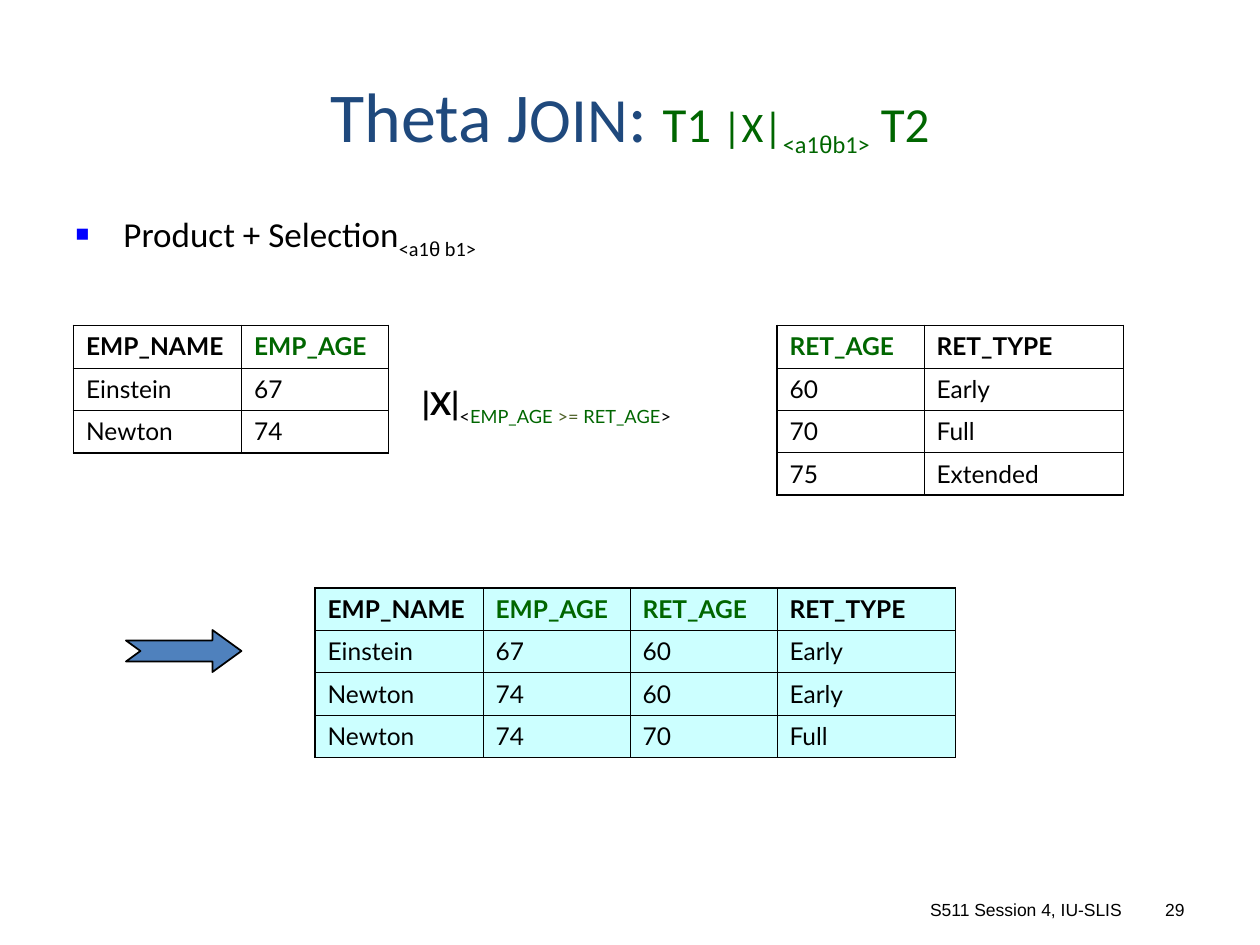
from lxml.etree import SubElement as Sub, Element as Elem
from pptx import Presentation
from pptx.dml.color import RGBColor as Rgb
from pptx.enum.shapes import MSO_SHAPE as Shape
from pptx.enum.text import MSO_ANCHOR as Anchor, MSO_AUTO_SIZE as Fit, PP_ALIGN as Align
from pptx.oxml.ns import qn
from pptx.util import Inches, Pt

HUE = {"ink": "000000", "navy": "1F497D", "green": "006600", "olive": "4F6228",
       "mark": "0000FF", "aqua": "CCFFFF", "blue": "4F81BD"}
UNIT = Inches(1) / 12
ROW = 4.04


def span(*cells):
    return [round(n * UNIT) for n in cells]


def put(item, form):
    for key, val in form.items():
        setattr(item, key, val)


def write(para, runs, name, size, hue="ink", bold=False):
    for text, own in runs:
        look = {"name": name, "size": size, "hue": hue, "bold": bold, "base": 0, **own}
        tint, base = look.pop("hue"), look.pop("base")
        run = para.add_run()
        run.text = text
        put(run.font, {**look, "size": Pt(look["size"])})
        run.font.color.rgb = Rgb.from_string(HUE[tint])
        if base:
            run._r.get_or_add_rPr().set("baseline", str(base * 1000))


def place(item, box):
    put(item, dict(zip(("left", "top", "width", "height"), span(*box))))


def title(slide, box):
    head = slide.shapes.title
    place(head, box)
    put(head.text_frame, {"vertical_anchor": Anchor.MIDDLE, "auto_size": Fit.NONE})
    para = head.text_frame.paragraphs[0]
    para.alignment = Align.CENTER
    sub = {"size": 24, "hue": "green", "base": -25}
    part = {"size": 28, "hue": "green"}
    write(para, [("Theta J", {}), ("OIN", {"size": 36}), (": ", {}), ("T1 ", part),
                 ("|X|", {**sub, "base": 0}), ("<a1", sub), ("θ", {**sub, "name": "Arial"}),
                 ("b1>", sub), (" T2", part)], "Calibri", 40, "navy")


def body(slide, box):
    hold = slide.placeholders[1]
    place(hold, box)
    hold.text_frame.auto_size = Fit.NONE
    para = hold.text_frame.paragraphs[0]
    put(para, {"space_before": Pt(0), "alignment": Align.LEFT})
    prop = para._p.get_or_add_pPr()
    dent = Inches(0.38)
    prop.set("marL", str(dent))
    prop.set("indent", str(-dent))
    Sub(Sub(prop, qn("a:buClr")), qn("a:srgbClr"), val=HUE["mark"])
    Sub(prop, qn("a:buSzPct"), val="65000")
    Sub(prop, qn("a:buFont"), typeface="Arial")
    Sub(prop, qn("a:buChar"), char="■")
    sub = {"base": -25}
    write(para, [("Product + Selection", {}), ("<a1", sub), ("θ", {**sub, "name": "Arial"}),
                 (" b1>", sub), (" ", {"size": 24})], "Calibri", 20)


def label(slide, box, runs, form, align, **look):
    frame = slide.shapes.add_textbox(*span(*box)).text_frame
    put(frame, {"word_wrap": True, **form})
    para = frame.paragraphs[0]
    para.alignment = align
    write(para, runs, **look)


def edge(cell, outer):
    prop = cell._tc.get_or_add_tcPr()
    for spot, side in enumerate("LRTB"):
        line = Elem(qn("a:ln" + side), w=str(Pt(1.08 if side in outer else 0.45)))
        Sub(Sub(line, qn("a:solidFill")), qn("a:srgbClr"), val=HUE["ink"])
        prop.insert(spot, line)


def grid(slide, left, top, cols, rows, fill=None):
    high, wide = len(rows), len(cols)
    box = span(left, top, sum(cols), ROW * high)
    table = slide.shapes.add_table(high, wide, *box).table
    put(table, {"first_row": False, "horz_banding": False})
    for col, size in zip(table.columns, span(*cols)):
        col.width = size
    for r, row in enumerate(rows):
        table.rows[r].height = round(ROW * UNIT)
        for c, text in enumerate(row):
            cell = table.cell(r, c)
            if fill:
                cell.fill.solid()
                cell.fill.fore_color.rgb = Rgb.from_string(HUE[fill])
            else:
                cell.fill.background()
            outer = {"L": c == 0, "R": c == wide - 1, "T": r == 0, "B": r == high - 1}
            edge(cell, [side for side in outer if outer[side]])
            hue = "green" if text.endswith("_AGE") else "ink"
            write(cell.text_frame.paragraphs[0], [(text, {})], "Lato", 14, hue, r == 0)


def arrow(slide, box):
    item = slide.shapes.add_shape(Shape.NOTCHED_RIGHT_ARROW, *span(*box))
    item.adjustments[1] = 0.69
    item.shadow.inherit = False
    item.fill.solid()
    item.fill.fore_color.rgb = Rgb.from_string(HUE["blue"])
    item.line.color.rgb = Rgb.from_string(HUE["ink"])
    item.line.width = Pt(1)


def main():
    deck = Presentation()
    put(deck, {"slide_width": Inches(10), "slide_height": Inches(7.5)})
    slide = deck.slides.add_slide(deck.slide_layouts[1])
    title(slide, (6, 5, 108, 12))
    body(slide, (6, 19, 106, 8))
    for left, wide, text in ((82, 26, "S511 Session 4, IU-SLIS"), (109, 5, "29")):
        label(slide, (left, 85, wide, 3.2), [(text, {})],
              {"vertical_anchor": Anchor.BOTTOM}, Align.RIGHT, name="Arial", size=10)
    grid(slide, 7, 31, (16, 14),
         [("EMP_NAME", "EMP_AGE"), ("Einstein", "67"), ("Newton", "74")])
    grid(slide, 74, 31, (14, 19),
         [("RET_AGE", "RET_TYPE"), ("60", "Early"), ("70", "Full"), ("75", "Extended")])
    sub = {"base": -25}
    green = {**sub, "hue": "green"}
    label(slide, (39, 36, 33, 5.3),
          [("|X|", {"bold": True}), ("<", sub), ("EMP_AGE ", green),
           (">= ", {**sub, "hue": "olive"}), ("RET_AGE", green), (">", sub)],
          {"auto_size": Fit.SHAPE_TO_FIT_TEXT}, Align.LEFT, name="Lato", size=18)
    grid(slide, 30, 56, (16, 14, 14, 17),
         [("EMP_NAME", "EMP_AGE", "RET_AGE", "RET_TYPE"), ("Einstein", "67", "60", "Early"),
          ("Newton", "74", "60", "Early"), ("Newton", "74", "70", "Full")], "aqua")
    arrow(slide, (12, 60, 11, 4))
    deck.save("out.pptx")


if __name__ == "__main__":
    main()
